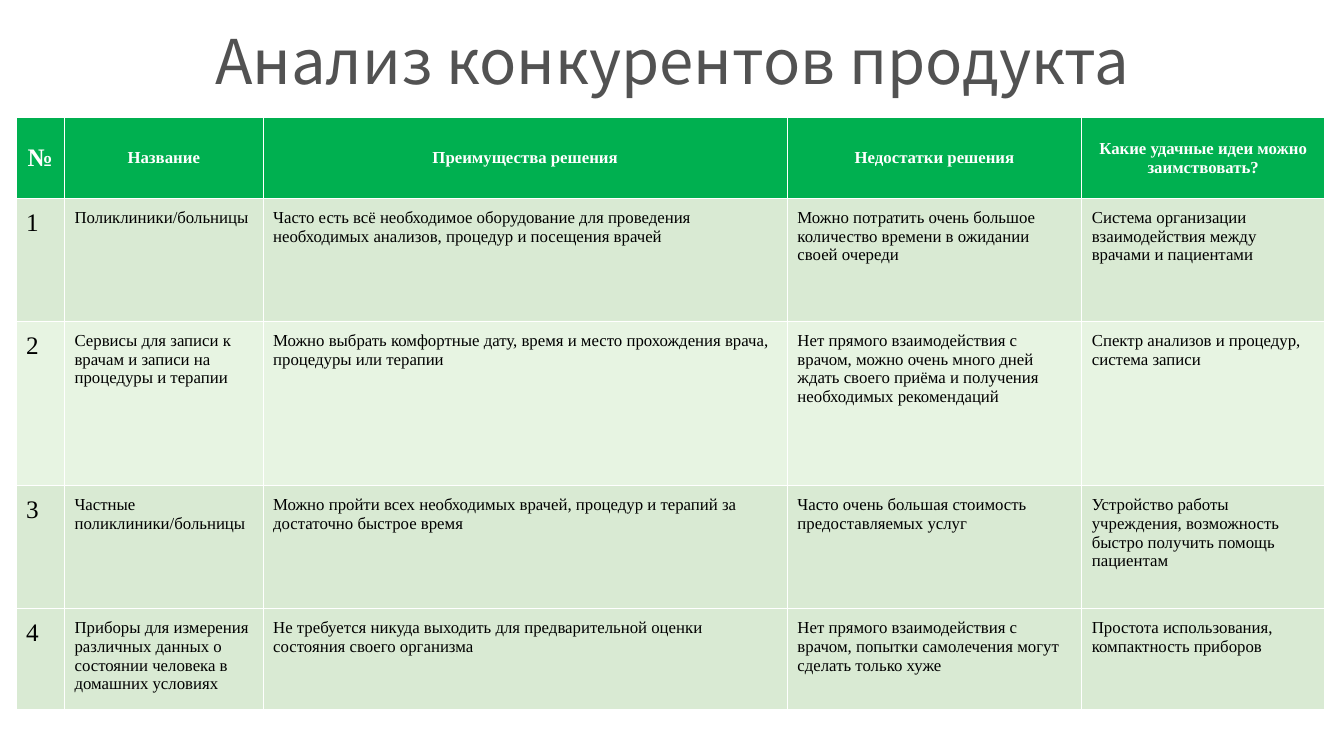
from lxml import etree
from pptx import Presentation
from pptx.dml.color import RGBColor
from pptx.enum.text import MSO_ANCHOR, MSO_AUTO_SIZE, PP_ALIGN
from pptx.oxml.ns import qn
from pptx.util import Inches, Pt

LEFT, CENTER = PP_ALIGN.LEFT, PP_ALIGN.CENTER
TOP, MIDDLE = MSO_ANCHOR.TOP, MSO_ANCHOR.MIDDLE
NO_AUTOFIT = MSO_AUTO_SIZE.NONE
TITLE_ONLY = 5

COLORS = {
    "title": "525252",
    "header": "00B050",
    "header_text": "FFFFFF",
    "text": "000000",
    "row": "D9EAD3",
    "row_light": "E7F4E2",
    "border": "FFFFFF",
}
TITLE_FONT = "Noto Sans CJK JP"
TABLE_FONT = "Times New Roman"

COLUMN_WIDTHS = [0.48, 1.97, 5.2, 2.92, 2.41]
ROW_HEIGHTS = [0.8, 1.22, 1.63, 1.22, 1]
ROW_FILLS = ["header", "row", "row_light", "row", "row"]
COMPETITORS = [
    ["№", "Название", "Преимущества решения", "Недостатки решения",
     "Какие удачные идеи можно заимствовать?"],
    ["1", "Поликлиники/больницы",
     "Часто есть всё необходимое оборудование для проведения необходимых анализов, "
     "процедур и посещения врачей",
     "Можно потратить очень большое количество времени в ожидании своей очереди",
     "Система организации взаимодействия между врачами и пациентами"],
    ["2", "Сервисы для записи к врачам и записи на процедуры и терапии",
     "Можно выбрать комфортные дату, время и место прохождения врача, процедуры или терапии",
     "Нет прямого взаимодействия с врачом, можно очень много дней ждать своего приёма "
     "и получения необходимых рекомендаций",
     "Спектр анализов и процедур, система записи"],
    ["3", "Частные поликлиники/больницы",
     "Можно пройти всех необходимых врачей, процедур и терапий за достаточно быстрое время",
     "Часто очень большая стоимость предоставляемых услуг",
     "Устройство работы учреждения, возможность быстро получить помощь пациентам"],
    ["4", "Приборы для измерения различных данных о состоянии человека в домашних условиях",
     "Не требуется никуда выходить для предварительной оценки состояния своего организма",
     "Нет прямого взаимодействия с врачом, попытки самолечения могут сделать только хуже",
     "Простота использования, компактность приборов"],
]


def write_text(frame, text, *, font, size, color, bold=False, align=LEFT, spacing=None):
    para = frame.paragraphs[0]
    para.alignment = align
    para.line_spacing = spacing
    span = para.add_run()
    span.text = text
    span.font.name = font
    span.font.size = Pt(size)
    span.font.bold = bold
    span.font.color.rgb = RGBColor.from_string(COLORS[color])


def add_borders(cell, color, width):
    properties = cell._tc.get_or_add_tcPr()
    for side in ("a:lnL", "a:lnR", "a:lnT", "a:lnB"):
        line = etree.SubElement(properties, qn(side), w=str(Pt(width)))
        fill = etree.SubElement(line, qn("a:solidFill"))
        etree.SubElement(fill, qn("a:srgbClr"), val=COLORS[color])


class SlideBuilder:
    def __init__(self, page):
        self.page = page
        self.cell_margin = Inches(0.1)

    def title(self, text, left, top, width, height):
        box = self.page.shapes.title
        box.left, box.top = Inches(left), Inches(top)
        box.width, box.height = Inches(width), Inches(height)
        frame = box.text_frame
        frame.word_wrap = True
        frame.auto_size = NO_AUTOFIT
        frame.vertical_anchor = MIDDLE
        write_text(frame, text, font=TITLE_FONT, size=44, color="title",
                   align=CENTER, spacing=0.9)

    def table(self, rows, left, top):
        table = self.page.shapes.add_table(
            len(rows), len(COLUMN_WIDTHS), Inches(left), Inches(top),
            Inches(sum(COLUMN_WIDTHS)), Inches(sum(ROW_HEIGHTS))).table
        for column, width in zip(table.columns, COLUMN_WIDTHS):
            column.width = Inches(width)
        for row, height in zip(table.rows, ROW_HEIGHTS):
            row.height = Inches(height)
        for row_index, texts in enumerate(rows):
            for column_index, text in enumerate(texts):
                self.cell(table.cell(row_index, column_index), text,
                          fill=ROW_FILLS[row_index], header=row_index == 0,
                          size=18 if column_index == 0 else 12)

    def cell(self, cell, text, fill, header, size):
        cell.margin_left = cell.margin_right = self.cell_margin
        cell.margin_top = cell.margin_bottom = self.cell_margin
        cell.vertical_anchor = MIDDLE if header else TOP
        add_borders(cell, "border", 0.75)
        cell.fill.solid()
        cell.fill.fore_color.rgb = RGBColor.from_string(COLORS[fill])
        write_text(cell.text_frame, text, font=TABLE_FONT, size=size, bold=header,
                   color="header_text" if header else "text",
                   align=CENTER if header else LEFT)


def main():
    deck = Presentation()
    deck.slide_width, deck.slide_height = Inches(13.33), Inches(7.5)
    page = deck.slides.add_slide(deck.slide_layouts[TITLE_ONLY])
    builder = SlideBuilder(page)
    builder.title("Анализ конкурентов продукта", 0.92, -0.08, 11.5, 1.45)
    builder.table(COMPETITORS, 0.16, 1.17)
    deck.save("out.pptx")


if __name__ == "__main__":
    main()
